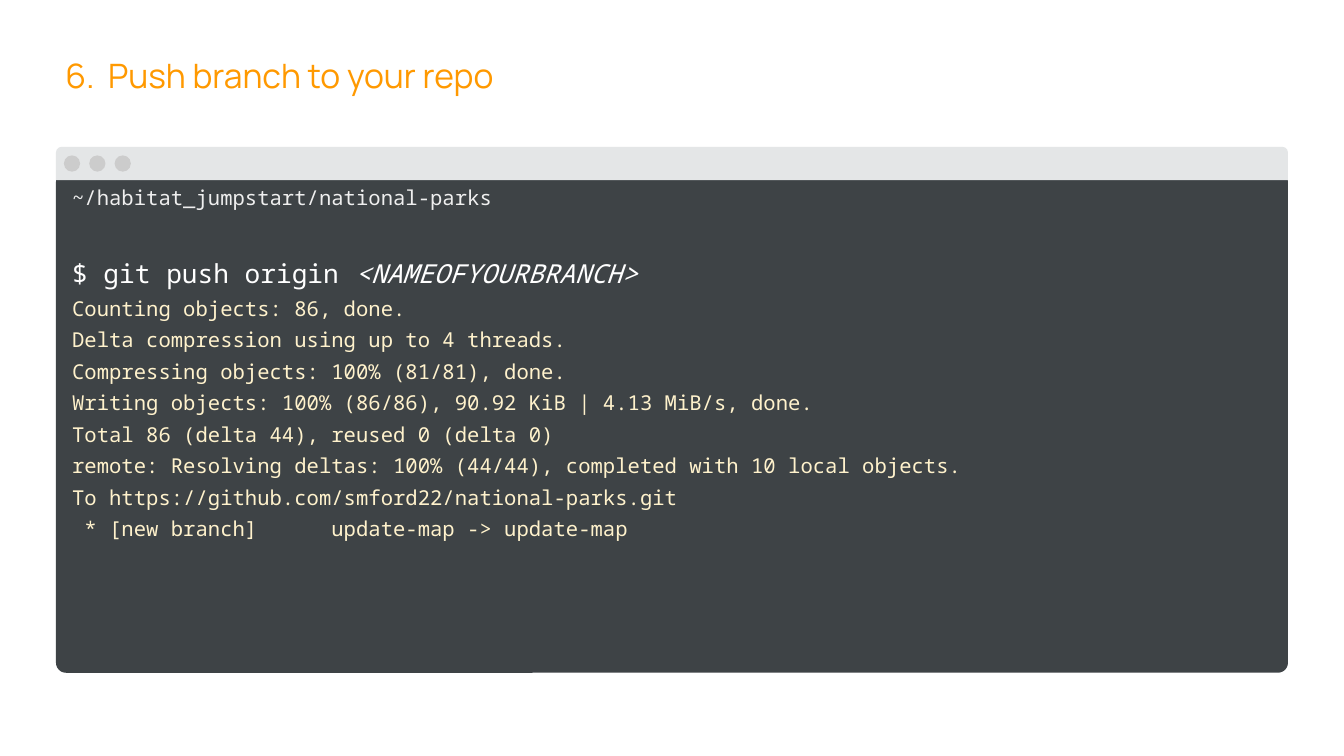
from pptx import Presentation
from pptx.dml.color import RGBColor
from pptx.enum import shapes, text
from pptx.util import Pt

TITLE = "6.  Push branch to your repo"
FOLDER = "~/habitat_jumpstart/national-parks"
COMMAND = "$ git push origin "
BRANCH = "<NAMEOFYOURBRANCH>"
OUTPUT = [
    "Counting objects: 86, done.",
    "Delta compression using up to 4 threads.",
    "Compressing objects: 100% (81/81), done.",
    "Writing objects: 100% (86/86), 90.92 KiB | 4.13 MiB/s, done.",
    "Total 86 (delta 44), reused 0 (delta 0)",
    "remote: Resolving deltas: 100% (44/44), completed with 10 local objects.",
    "To https://github.com/smford22/national-parks.git",
    " * [new branch]      update-map -> update-map",
]

TITLE_FONT, CODE_FONT = "Manrope", "Noto Sans Mono"
LEFT, WIDTH = 30, 660
BAR_TOP, BAR_HEIGHT = 78.7, 17.8
DOT_SIZE, DOT_STEP = 8.7, 13.6
LINE_GAP, COMMAND_GAP = 5, 27.2


def color(value):
    return RGBColor.from_string(value)


def add_shape(slide, kind, left, top, width, height, fill, adjustments=()):
    shape = slide.shapes.add_shape(kind, Pt(left), Pt(top), Pt(width), Pt(height))
    shape.shadow.inherit = False
    shape.fill.solid()
    shape.fill.fore_color.rgb = color(fill)
    shape.line.fill.background()
    for index, value in enumerate(adjustments):
        shape.adjustments[index] = value
    return shape


def set_frame(shape, inset):
    frame = shape.text_frame
    frame.word_wrap = True
    frame.vertical_anchor = text.MSO_ANCHOR.TOP
    frame.margin_left = frame.margin_right = Pt(inset)
    frame.margin_top = frame.margin_bottom = Pt(inset)
    return frame


def write(para, spans, font, gap=0):
    """Fill a paragraph with spans of (text, size, colour, italic)."""
    para.alignment = text.PP_ALIGN.LEFT
    para.line_spacing = 0.9
    para.space_before = Pt(gap)
    for words, size, fill, italic in spans:
        span = para.add_run()
        span.text = words
        span.font.name = font
        span.font.size = Pt(size)
        span.font.color.rgb = color(fill)
        span.font.italic = italic


deck = Presentation()
deck.slide_width, deck.slide_height = Pt(720), Pt(405)
page = deck.slides.add_slide(deck.slide_layouts[6])

title = page.shapes.add_textbox(Pt(LEFT), Pt(26.8), Pt(WIDTH), Pt(32.4))
write(set_frame(title, 5).paragraphs[0], [(TITLE, 18, "FF9900", False)], TITLE_FONT)

terminal = add_shape(page, shapes.MSO_SHAPE.ROUNDED_RECTANGLE,
                     LEFT, 92, WIDTH, 268.4, "3E4346", [0.02])
frame = set_frame(terminal, 7.2)
lines = [
    ([(FOLDER, 11, "EFEFEF", False)], 0),
    ([(COMMAND, 14, "FFFFFF", False), (BRANCH, 14, "FFFFFF", True)], COMMAND_GAP),
]
lines += [([(line, 11, "FFF2CC", False)], LINE_GAP) for line in OUTPUT]
for number, (spans, gap) in enumerate(lines):
    para = frame.add_paragraph() if number else frame.paragraphs[0]
    write(para, spans, CODE_FONT, gap)

add_shape(page, shapes.MSO_SHAPE.ROUND_2_SAME_RECTANGLE,
          LEFT, BAR_TOP, WIDTH, BAR_HEIGHT, "E4E6E7", [0.17, 0])
dot_top = BAR_TOP + (BAR_HEIGHT - DOT_SIZE) / 2
for number in range(3):
    add_shape(page, shapes.MSO_SHAPE.OVAL, LEFT + 4.2 + number * DOT_STEP, dot_top,
              DOT_SIZE, DOT_SIZE, "CCCCCC")

deck.save("out.pptx")
